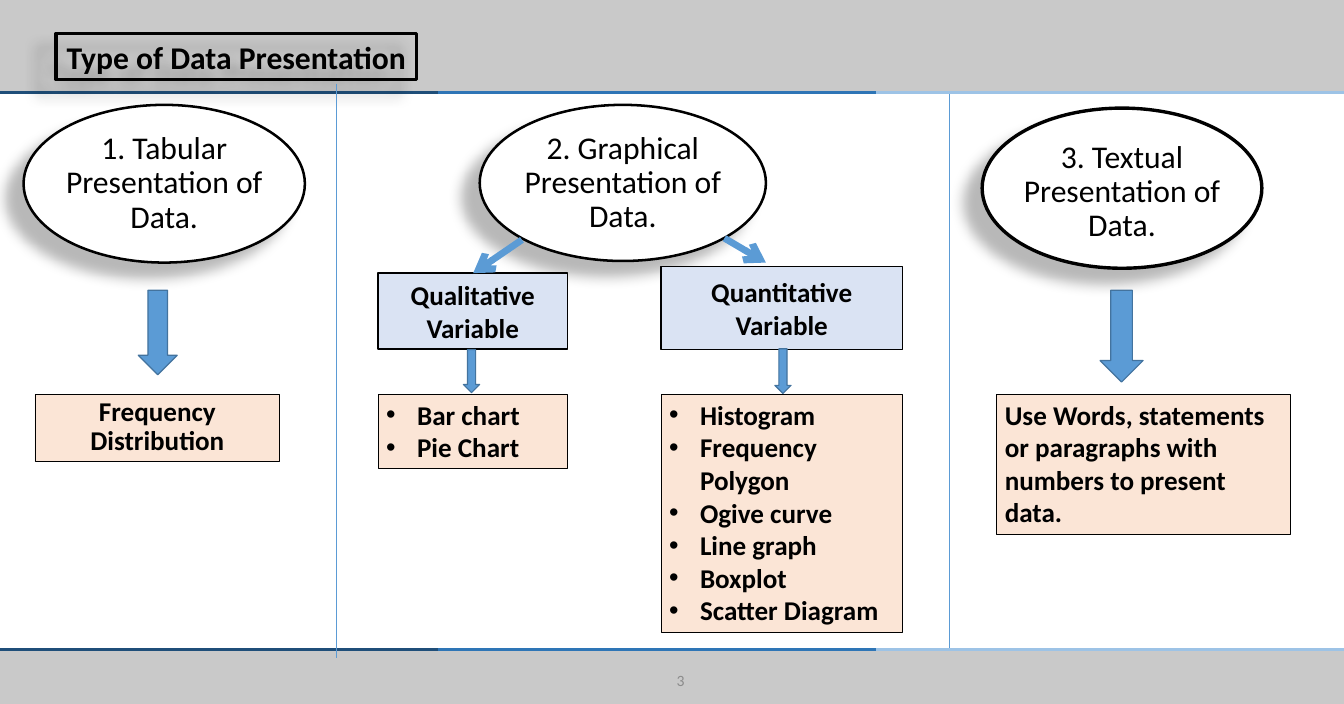
import pptx
import pptx.util
import pptx.dml.color
import pptx.enum.shapes
import pptx.enum.text
import pptx.oxml
import pptx.oxml.ns

Inches = pptx.util.Inches
Pt = pptx.util.Pt
Kind = pptx.enum.shapes.MSO_SHAPE
Align = pptx.enum.text.PP_ALIGN
Anchor = pptx.enum.text.MSO_ANCHOR
NS = pptx.oxml.ns.nsdecls("a")

BLACK = "000000"
WHITE = "FFFFFF"
GREY = "C9C9C9"
BLUE = "5B9BD5"
EDGE = "43739E"
PALE = "DAE3F3"
PEACH = "FBE5D6"
BANDS = [(0, 5.39, "1F4E79"), (5.39, 11.15, "2E75B6"), (10.78, 16.53, "9DC3E6")]


def paint(target, color):
    target.rgb = pptx.dml.color.RGBColor.from_string(color)


def place(shape, box):
    shape.left, shape.top, shape.width, shape.height = map(Inches, box)


def style(shape, fill=None, line=None, width=1):
    shape.shadow.inherit = False
    if fill:
        shape.fill.solid()
        paint(shape.fill.fore_color, fill)
    else:
        shape.fill.background()
    if line:
        paint(shape.line.color, line)
        shape.line.width = Pt(width)
    else:
        shape.line.fill.background()


def cast(shape):
    effects = shape.element.spPr.find(pptx.oxml.ns.qn("a:effectLst"))
    effects.append(pptx.oxml.parse_xml(
        f'<a:outerShdw {NS} blurRad="{Pt(11.8)}" dist="{Pt(19.7)}" '
        f'dir="{141 * 60000}" rotWithShape="0"><a:srgbClr val="{BLACK}">'
        '<a:alpha val="28000"/></a:srgbClr></a:outerShdw>'))


def bullet(para):
    props = para._p.get_or_add_pPr()
    props.set("marL", str(Inches(0.38)))
    props.set("indent", str(-Inches(0.38)))
    props.append(pptx.oxml.parse_xml(f'<a:buFont {NS} typeface="Arial"/>'))
    props.append(pptx.oxml.parse_xml(f'<a:buChar {NS} char="•"/>'))


def write(shape, lines, size=24, bold=True, align=Align.CENTER, color=BLACK,
          anchor=Anchor.MIDDLE, space=1.0, dots=False, wrap=True):
    frame = shape.text_frame
    frame.text = "\n".join(lines)
    frame.auto_size = pptx.enum.text.MSO_AUTO_SIZE.NONE
    frame.word_wrap = wrap
    frame.vertical_anchor = anchor
    for para in frame.paragraphs:
        if dots:
            bullet(para)
        para.alignment = align
        para.line_spacing = space
        para.space_before = Pt(0)
        para.font.name = "Calibri"
        para.font.size = Pt(size)
        para.font.bold = bold
        paint(para.font.color, color)


def draw(slide, kind, box, fill, line=None, width=1):
    shape = slide.shapes.add_shape(kind, *map(Inches, box))
    style(shape, fill, line, width)
    return shape


def rule(slide, start, end, color, width, arrow=False):
    line = slide.shapes.add_connector(
        pptx.enum.shapes.MSO_CONNECTOR.STRAIGHT, *map(Inches, start + end))
    paint(line.line.color, color)
    line.line.width = Pt(width)
    props = line.element.spPr
    if arrow:
        props.find(pptx.oxml.ns.qn("a:ln")).append(
            pptx.oxml.parse_xml(f'<a:tailEnd {NS} type="arrow"/>'))
    props.append(pptx.oxml.parse_xml(f'<a:effectLst {NS}/>'))


def frame(slide):
    for top, height in [(8, 0.66), (0, 1.14)]:
        draw(slide, Kind.RECTANGLE, (0, top, 16.53, height), GREY)
    for top in (1.14, 7.99):
        for left, right, color in BANDS:
            rule(slide, (left, top), (right, top), color, 3)
    number = slide.shapes.add_textbox(*map(Inches, (6.51, 8.14, 3.72, 0.46)))
    write(number, ["3"], size=13.9, bold=False, color="8C8C8C")


def head(title):
    title.element.getparent().append(title.element)
    place(title, (0.69, 0.41, 4.43, 0.57))
    style(title, None, BLACK, 3)
    cast(title)
    write(title, ["Type of Data Presentation"], size=28, anchor=Anchor.TOP,
          wrap=False)


def oval(slide, box, text, width=2.25, drop=0):
    shape = draw(slide, Kind.OVAL, box, WHITE, BLACK, width)
    cast(shape)
    write(shape, [text], size=28, bold=False, space=0.9)
    body = shape.text_frame
    body.margin_left = body.margin_right = body.margin_bottom = 0
    body.margin_top = Inches(drop)


def label(slide, box, text, fill, width=0.75, **look):
    write(draw(slide, Kind.RECTANGLE, box, fill, BLACK, width), [text], **look)


def fill_list(body, box, items):
    body.element.getparent().append(body.element)
    place(body, box)
    style(body, PEACH, BLACK, 0.75)
    write(body, items, align=Align.LEFT, anchor=Anchor.TOP, dots=True)


def main():
    deck = pptx.Presentation()
    deck.slide_width, deck.slide_height = Inches(16.53), Inches(8.66)
    slide = deck.slides.add_slide(deck.slide_layouts[3])
    title, short, long = slide.placeholders
    frame(slide)
    head(title)

    oval(slide, (0.29, 1.29, 3.46, 1.94), "1. Tabular Presentation of Data.")
    oval(slide, (5.9, 1.29, 3.52, 1.92), "2. Graphical Presentation of Data.")
    oval(slide, (12.08, 1.33, 3.44, 1.97), "3. Textual Presentation of Data.",
         width=3, drop=0.1)

    label(slide, (4.65, 3.36, 2.33, 0.93), "Qualitative Variable", PALE, 1.5)
    label(slide, (8.13, 3.28, 2.97, 1.02), "Quantitative Variable", PALE, 1)
    fill_list(short, (4.65, 4.85, 2.33, 0.91), ["Bar chart", "Pie Chart"])
    fill_list(long, (8.13, 4.85, 2.97, 2.93),
              ["Histogram", "Frequency Polygon", "Ogive curve", "Line graph",
               "Boxplot", "Scatter Diagram"])

    rule(slide, (4.14, 1.03), (4.14, 8.1), BLUE, 0.5)
    rule(slide, (11.67, 1.16), (11.67, 7.97), BLUE, 0.5)
    rule(slide, (6.42, 2.95), (5.82, 3.36), BLUE, 6, arrow=True)
    rule(slide, (8.91, 2.93), (9.42, 3.23), BLUE, 6, arrow=True)

    label(slide, (12.26, 4.85, 3.61, 1.72),
          "Use Words, statements or paragraphs with numbers to present data.",
          PEACH, align=Align.LEFT, anchor=Anchor.TOP)
    label(slide, (0.43, 4.85, 3.01, 0.83), "Frequency Distribution", PEACH,
          anchor=Anchor.TOP, space=0.9)

    for box in [(1.7, 3.57, 0.48, 1.04), (13.53, 3.57, 0.53, 1.13),
                (9.53, 4.29, 0.2, 0.55), (5.7, 4.3, 0.2, 0.53)]:
        draw(slide, Kind.DOWN_ARROW, box, BLUE, EDGE)
    deck.save("out.pptx")


if __name__ == "__main__":
    main()
